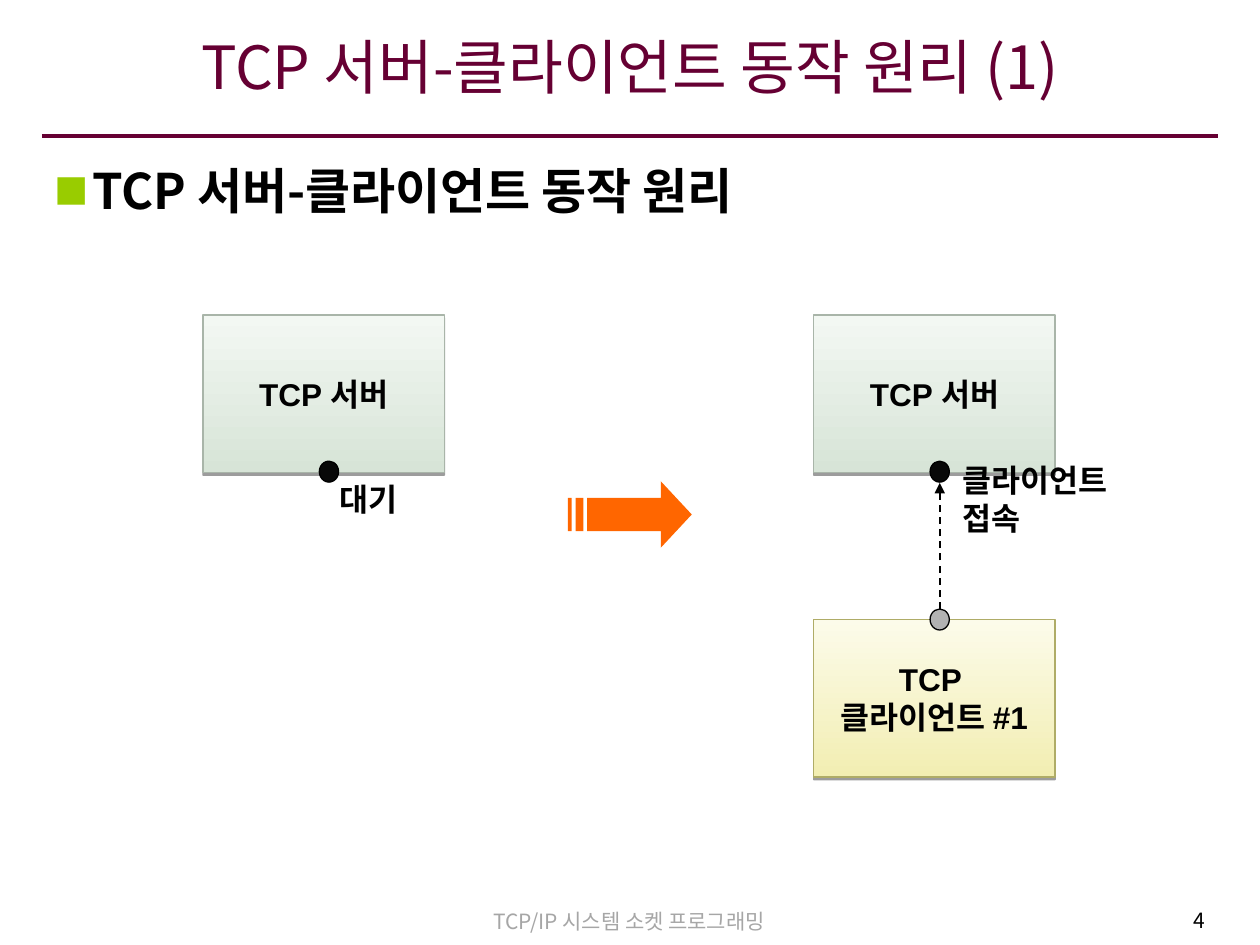
from lxml.etree import SubElement as Sub
from pptx import Presentation
from pptx.dml.color import RGBColor
from pptx.enum.dml import MSO_LINE_DASH_STYLE as Dash
from pptx.enum.shapes import MSO_CONNECTOR as Conn, MSO_SHAPE as Shape
from pptx.enum.text import MSO_ANCHOR as Anchor, PP_ALIGN as Align
from pptx.oxml.ns import qn
from pptx.util import Pt

NOTO = "Noto Sans CJK KR"
BOX_W, BOX_H = 138, 90
DOT_W, DOT_H = 11, 12
GREEN = ("D7E4D7", "F3F8F3", "A9B5A9")
YELLOW = ("F2EEB2", "FCFBEA", "AFAC67")


def rgb(code):
    return RGBColor.from_string(code)


def write(frame, text, size, color="000000", bold=False, face=NOTO,
          align=Align.LEFT, anchor=Anchor.MIDDLE):
    frame.text = text
    frame.vertical_anchor = anchor
    for par in frame.paragraphs:
        par.alignment = align
        font = par.font
        font.size, font.bold, font.name = Pt(size), bold, face
        font.color.rgb = rgb(color)
        props = par._p.pPr.find(qn("a:defRPr"))
        Sub(props, qn("a:ea"), typeface=NOTO)


def label(slide, x, y, w, h, text, size, **style):
    frame = slide.shapes.add_textbox(Pt(x), Pt(y), Pt(w), Pt(h)).text_frame
    frame.word_wrap = True
    write(frame, text, size, **style)
    return frame


def bullet(par, color, scale, indent):
    par.space_before = Pt(7)
    props = par._p.get_or_add_pPr()
    props.set("marL", str(Pt(indent)))
    props.set("indent", str(-Pt(indent)))
    marks = [Sub(props, qn("a:buClr")),
             Sub(props, qn("a:buSzPct"), val=str(scale * 1000)),
             Sub(props, qn("a:buFont"), typeface=NOTO),
             Sub(props, qn("a:buChar"), char="■")]
    Sub(marks[0], qn("a:srgbClr"), val=color)
    for mark in marks:
        props.find(qn("a:defRPr")).addprevious(mark)


def drop(shape):
    """Give the shape a thin hard shadow below it."""
    shape.shadow.inherit = False
    effects = shape._element.spPr.find(qn("a:effectLst"))
    outer = Sub(effects, qn("a:outerShdw"), blurRad="0", dist=str(Pt(1.6)),
                dir="5400000", rotWithShape="0")
    tint = Sub(outer, qn("a:srgbClr"), val="000000")
    Sub(tint, qn("a:alpha"), val="38000")


def box(slide, x, y, text, colors):
    low, high, edge = colors
    shape = slide.shapes.add_shape(Shape.RECTANGLE, Pt(x), Pt(y), Pt(BOX_W), Pt(BOX_H))
    shape.fill.gradient()
    shape.fill.gradient_angle = 90
    for stop, color in zip(shape.fill.gradient_stops, (low, high)):
        stop.color.rgb = rgb(color)
    shape.line.color.rgb = rgb(edge)
    shape.line.width = Pt(0.75)
    drop(shape)
    shape.text_frame.word_wrap = False
    write(shape.text_frame, text, 18, bold=True, face="Arial", align=Align.CENTER)


def dot(slide, x, y, color):
    """Draw a socket centred on x, y."""
    shape = slide.shapes.add_shape(Shape.OVAL, Pt(x - DOT_W / 2), Pt(y - DOT_H / 2),
                                   Pt(DOT_W), Pt(DOT_H))
    shape.shadow.inherit = False
    shape.fill.solid()
    shape.fill.fore_color.rgb = rgb(color)
    shape.line.color.rgb = rgb("000000")
    shape.line.width = Pt(0.75)


def rule(slide, x1, y1, x2, y2, color, width):
    line = slide.shapes.add_connector(Conn.STRAIGHT, Pt(x1), Pt(y1), Pt(x2), Pt(y2))
    line.line.color.rgb = rgb(color)
    line.line.width = Pt(width)
    Sub(line._element.spPr, qn("a:effectLst"))
    return line


def link(slide, x, y1, y2):
    line = rule(slide, x, y1, x, y2, "000000", 1).line
    line.dash_style = Dash.DASH
    Sub(line._get_or_add_ln(), qn("a:tailEnd"), type="triangle")


def arrow(slide, x, y, w, h, color):
    """Draw a right arrow with two stripes at its tail."""
    unit, top, low = w / 32, y + h / 4, y + h * 3 / 4
    neck, mid = x + w * 3 / 4, y + h / 2
    start = x + 5 * unit
    head = [(neck, y), (neck, top), (start, top), (start, low),
            (neck, low), (neck, y + h), (x + w, mid)]
    bars = [[(a, top), (a, low), (b, low), (b, top)]
            for a, b in ((x + 2 * unit, x + 4 * unit), (x, x + unit))]
    form = slide.shapes.build_freeform(Pt(neck), Pt(y), scale=1)
    for i, dots in enumerate([head] + bars):
        points = [(Pt(a), Pt(b)) for a, b in dots]
        if i:
            form.move_to(*points[0])
        form.add_line_segments(points[1:], close=True)
    shape = form.convert_to_shape()
    shape.shadow.inherit = False
    shape.fill.solid()
    shape.fill.fore_color.rgb = rgb(color)
    shape.line.fill.background()


def server(slide, x, y, note, gap):
    """Draw a server with its socket and a note; return the socket's centre."""
    box(slide, x, y, "TCP 서버", GREEN)
    mid, base = x + 72, y + BOX_H
    dot(slide, mid, base - 0.5, "080808")
    label(slide, mid + gap, base + 6, 122, 18, note, 18, bold=True)
    return mid, base


def main():
    deck = Presentation()
    deck.slide_width, deck.slide_height = Pt(720), Pt(540)
    slide = deck.slides.add_slide(deck.slide_layouts[6])

    rule(slide, 24, 77.5, 696, 77.5, "660033", 2.25)
    label(slide, 206.5, 515.5, 306, 21.6, "TCP/IP 시스템 소켓 프로그래밍", 12,
          color="A6A6A6", align=Align.CENTER, anchor=Anchor.TOP)
    label(slide, 543, 515, 152.6, 23.8, "4", 12, align=Align.RIGHT, anchor=Anchor.TOP)
    title = label(slide, 24, 11, 672, 61, "TCP 서버-클라이언트 동작 원리 (1)", 34,
                  color="660033", align=Align.CENTER)
    title.margin_bottom = Pt(11.5)
    body = label(slide, 24, 88, 672, 422, "TCP 서버-클라이언트 동작 원리", 28,
                 bold=True, anchor=Anchor.TOP)
    bullet(body.paragraphs[0], "99CC00", 70, 21.6)

    server(slide, 116, 180, "대기", -1)
    mid, base = server(slide, 465, 180, "클라이언트 접속", 6)
    top = 354
    box(slide, 465, top, "TCP \n클라이언트 #1", YELLOW)
    dot(slide, mid, top, "B2B2B2")
    link(slide, mid, top - DOT_H / 2, base + DOT_H / 2)
    arrow(slide, 324.5, 275, 70.8, 38, "FF6600")
    deck.save("out.pptx")


if __name__ == "__main__":
    main()
